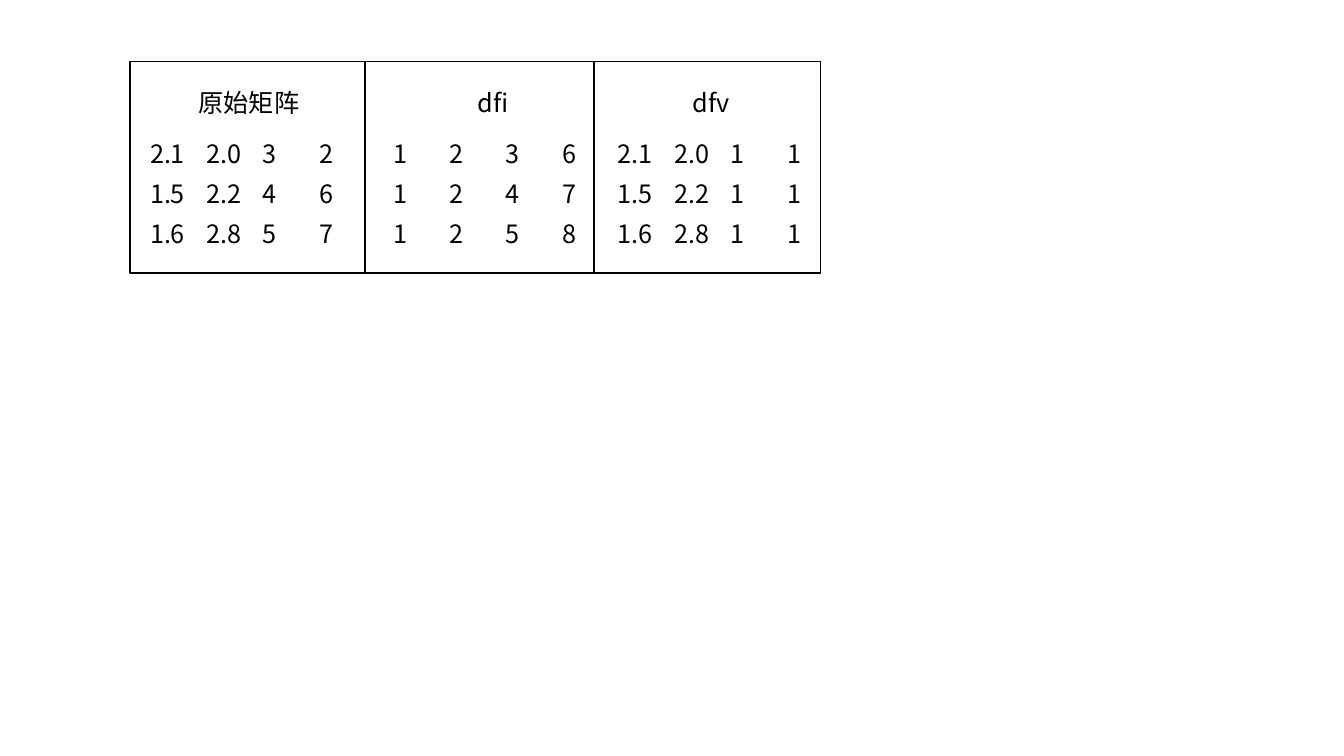
import pptx
import pptx.util
import pptx.dml.color
import pptx.enum.shapes
import pptx.enum.text
import pptx.oxml.ns
import lxml.etree

Inches = pptx.util.Inches

# name, name left, name width, grid left, rows
BLOCKS = [
    ("原始矩阵", 1.87, 1.28, 1.39,
     ["2.1 2.0 3 2", "1.5 2.2 4 6", "1.6 2.8 5 7"]),
    ("dfi", 4.64, 0.64, 3.8,
     ["1 2 3 6", "1 2 4 7", "1 2 5 8"]),
    ("dfv", 6.77, 0.64, 6.03,
     ["2.1 2.0 1 1", "1.5 2.2 1 1", "1.6 2.8 1 1"]),
]
RULES = [3.62, 5.89]
LEFT, TOP, WIDTH, HEIGHT = 1.29, 0.61, 6.85, 2.1
NAME_TOP, GRID_TOP = 0.82, 1.32
CELL_W, CELL_H = 0.56, 0.4

THEME = {
    "ink": pptx.dml.color.RGBColor(0, 0, 0),
    "paper": pptx.dml.color.RGBColor(255, 255, 255),
    "font": "Noto Sans CJK SC",
    "size": pptx.util.Pt(18),
    "line": pptx.util.Pt(1),
}
FRAME = {
    "word_wrap": True,
    "auto_size": pptx.enum.text.MSO_AUTO_SIZE.SHAPE_TO_FIT_TEXT,
    "vertical_anchor": pptx.enum.text.MSO_ANCHOR.MIDDLE,
}
FONT = {"name": THEME["font"], "size": THEME["size"]}


def apply(item, values):
    for name, value in values.items():
        setattr(item, name, value)


def ink_line(shape):
    shape.line.color.rgb = THEME["ink"]
    shape.line.width = THEME["line"]


def add_text(group, text, left, top, width):
    box = group.shapes.add_textbox(
        Inches(left), Inches(top), Inches(width), Inches(CELL_H))
    apply(box.text_frame, FRAME)
    run = box.text_frame.paragraphs[0].add_run()
    run.text = text
    apply(run.font, FONT)
    run.font.color.rgb = THEME["ink"]
    east = lxml.etree.SubElement(
        run._r.get_or_add_rPr(), pptx.oxml.ns.qn("a:ea"))
    east.set("typeface", THEME["font"])


def add_panel(group):
    panel = group.shapes.add_shape(
        pptx.enum.shapes.MSO_SHAPE.RECTANGLE,
        Inches(LEFT), Inches(TOP), Inches(WIDTH), Inches(HEIGHT))
    panel.shadow.inherit = False
    panel.fill.solid()
    panel.fill.fore_color.rgb = THEME["paper"]
    ink_line(panel)


def add_block(group, name, name_left, name_width, left, rows):
    for r, row in enumerate(rows):
        for c, value in enumerate(row.split()):
            add_text(group, value, left + c * CELL_W,
                     GRID_TOP + r * CELL_H, CELL_W)
    add_text(group, name, name_left, NAME_TOP, name_width)


def add_rule(group, x):
    rule = group.shapes.add_connector(
        pptx.enum.shapes.MSO_CONNECTOR.STRAIGHT,
        Inches(x), Inches(TOP), Inches(x), Inches(TOP + HEIGHT))
    ink_line(rule)
    lxml.etree.SubElement(
        rule._element.spPr, pptx.oxml.ns.qn("a:effectLst"))


def main():
    deck = pptx.Presentation()
    apply(deck, {"slide_width": Inches(13.33), "slide_height": Inches(7.5)})
    slide = deck.slides.add_slide(deck.slide_layouts[6])
    group = slide.shapes.add_group_shape()
    add_panel(group)
    for block in BLOCKS:
        add_block(group, *block)
    for x in RULES:
        add_rule(group, x)
    deck.save("out.pptx")


if __name__ == "__main__":
    main()
